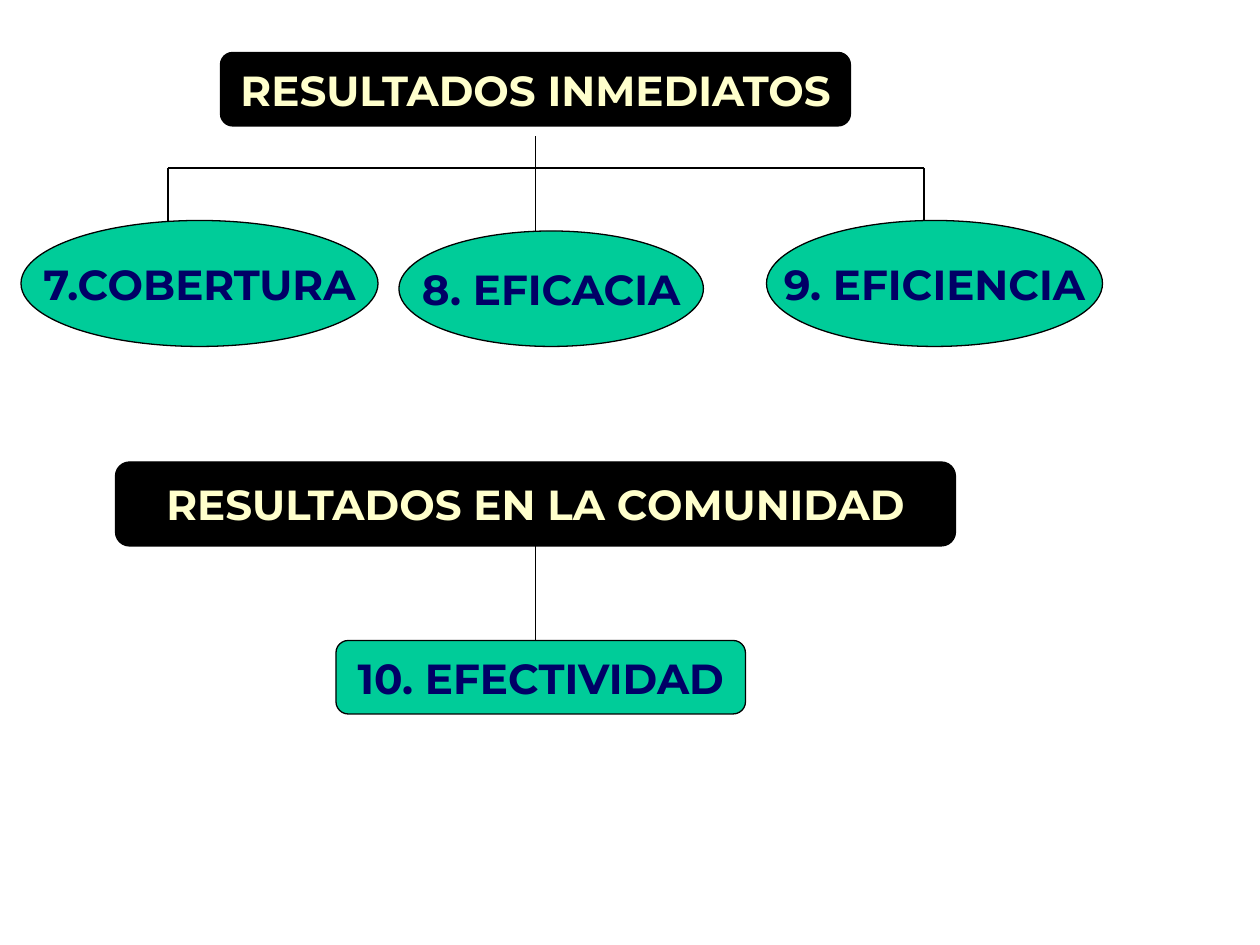
from lxml import etree
from pptx import Presentation
from pptx.dml.color import RGBColor
from pptx.enum.shapes import MSO_CONNECTOR, MSO_SHAPE
from pptx.enum.text import MSO_ANCHOR, PP_ALIGN
from pptx.oxml.ns import qn
from pptx.util import Inches, Pt

COLORS = {"black": "000000", "cream": "FFFFCC", "green": "00CC99", "navy": "000066"}
FONT = "Montserrat"
ROWS_PER_INCH = 12  # every place below is in cells of a 1/12 inch grid

STYLES = {  # shape, fill, text colour
    "heading": (MSO_SHAPE.ROUNDED_RECTANGLE, "black", "cream"),
    "indicator": (MSO_SHAPE.OVAL, "green", "navy"),
    "outcome": (MSO_SHAPE.ROUNDED_RECTANGLE, "green", "navy"),
}
IMMEDIATE = [  # style, text, (left, top, width, height)
    ("heading", "RESULTADOS INMEDIATOS", (21, 5, 60, 7)),
    ("indicator", "7.COBERTURA", (2, 21, 34, 12)),
    ("indicator", "8. EFICACIA", (38, 22, 29, 11)),
    ("indicator", "9. EFICIENCIA", (73, 21, 32, 12)),
]
COMMUNITY = [
    ("heading", "RESULTADOS EN LA COMUNIDAD", (11, 44, 80, 8)),
    ("outcome", "10. EFECTIVIDAD", (32, 61, 39, 7)),
]
TRUNK, BRANCH_LEFT, BRANCH_RIGHT, BRANCH_TOP = 51, 16, 88, 16
IMMEDIATE_LINES = [  # x1, y1, x2, y2
    (49, 13, 49, 13),
    (TRUNK, 13, TRUNK, 22),
    (BRANCH_LEFT, BRANCH_TOP, BRANCH_RIGHT, BRANCH_TOP),
    (BRANCH_LEFT, BRANCH_TOP, BRANCH_LEFT, 21),
    (BRANCH_RIGHT, BRANCH_TOP, BRANCH_RIGHT, 21),
]
COMMUNITY_LINES = [(TRUNK, 52, TRUNK, 61)]


def rgb(name):
    return RGBColor.from_string(COLORS[name])


def to_emu(cells):
    return [Inches(c / ROWS_PER_INCH) for c in cells]


def style_line(line):
    line.color.rgb = rgb("black")
    line.width = Pt(0.75)


def add_node(slide, style, text, box):
    kind, fill, ink = STYLES[style]
    sp = slide.shapes.add_shape(kind, *to_emu(box))
    sp.shadow.inherit = False
    sp.fill.solid()
    sp.fill.fore_color.rgb = rgb(fill)
    style_line(sp.line)
    tf = sp.text_frame
    tf.text = text
    tf.word_wrap = False
    tf.vertical_anchor = MSO_ANCHOR.MIDDLE
    p = tf.paragraphs[0]
    p.alignment = PP_ALIGN.CENTER
    font = p.runs[0].font
    font.name, font.size, font.bold = FONT, Pt(24), True
    font.color.rgb = rgb(ink)


def add_line(slide, ends):
    line = slide.shapes.add_connector(MSO_CONNECTOR.STRAIGHT, *to_emu(ends))
    style_line(line.line)
    etree.SubElement(line._element.spPr, qn("a:effectLst"))


def main():
    prs = Presentation()
    prs.slide_width, prs.slide_height = Inches(10), Inches(7.5)
    slide = prs.slides.add_slide(prs.slide_layouts[6])
    for nodes, lines in ((IMMEDIATE, IMMEDIATE_LINES), (COMMUNITY, COMMUNITY_LINES)):
        for node in nodes:
            add_node(slide, *node)
        for ends in lines:
            add_line(slide, ends)
    prs.save("out.pptx")


if __name__ == "__main__":
    main()
